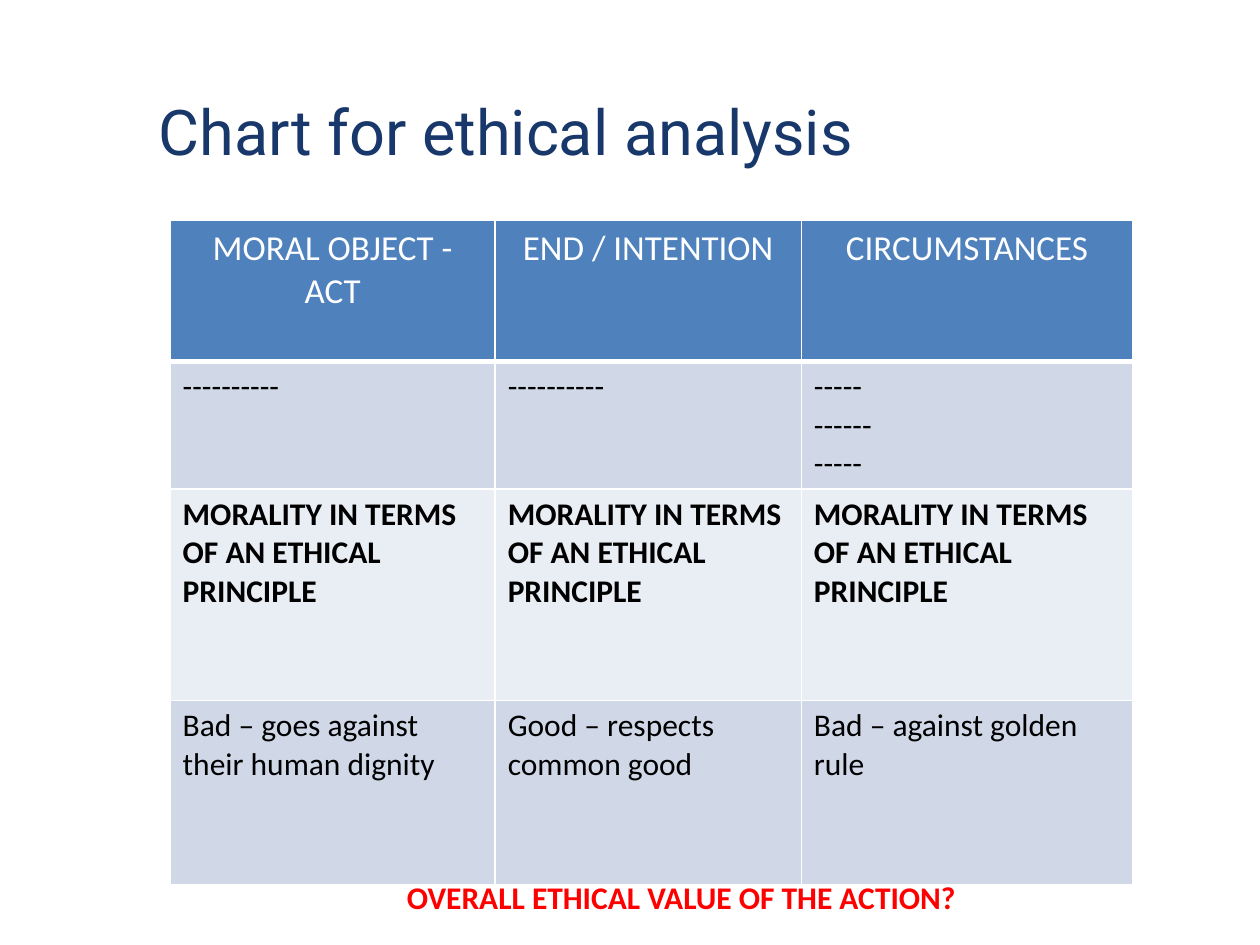
from lxml.etree import SubElement
from pptx import Presentation
from pptx.dml.color import RGBColor
from pptx.enum.text import MSO_ANCHOR as Anchor, PP_ALIGN as Align
from pptx.oxml.ns import qn
from pptx.util import Pt

TITLE = "Chart for ethical analysis"
QUESTION = "OVERALL ETHICAL VALUE OF THE ACTION?"
PRINCIPLE = "MORALITY IN TERMS OF AN ETHICAL PRINCIPLE"
COLUMN_WIDTHS = [185.76, 174.96, 189.36]
HEADER = dict(size=20, color="FFFFFF", align=Align.CENTER)
BODY = dict(size=18, color="000000")
# height, fill, bottom border, text format, cells
ROWS = [
    (80.64, "4F81BD", 3, HEADER,
     ["MORAL OBJECT - ACT", "END / INTENTION", "CIRCUMSTANCES"]),
    (72.72, "D0D8E8", 1, BODY,
     ["----------", "----------", "-----\n------\n-----"]),
    (120.96, "E9EDF4", 1, dict(BODY, bold=True), [PRINCIPLE] * 3),
    (105.12, "D0D8E8", 1, BODY,
     ["Bad – goes against their human dignity",
      "Good – respects common good",
      "Bad – against golden rule"]),
]


def rgb(value):
    return RGBColor.from_string(value)


def write(frame, text, size, color, font="Calibri", bold=False, align=Align.LEFT):
    for i, line in enumerate(text.split("\n")):
        paragraph = frame.add_paragraph() if i else frame.paragraphs[0]
        paragraph.alignment = align
        run = paragraph.add_run()
        run.text = line
        run.font.name = font
        run.font.size = Pt(size)
        run.font.bold = bold
        run.font.color.rgb = rgb(color)


def add_text(slide, box, text, wrap=True, anchor=Anchor.TOP, **text_format):
    frame = slide.shapes.add_textbox(*map(Pt, box)).text_frame
    frame.word_wrap = wrap
    frame.vertical_anchor = anchor
    write(frame, text, **text_format)


def format_cell(cell, fill, bottom):
    """Draw white borders, then fill the cell (borders come first in the XML)."""
    properties = cell._tc.get_or_add_tcPr()
    for side, width in (("L", 1), ("R", 1), ("T", 1), ("B", bottom)):
        line = SubElement(properties, qn(f"a:ln{side}"), w=str(Pt(width)))
        solid = SubElement(line, qn("a:solidFill"))
        SubElement(solid, qn("a:srgbClr"), val="FFFFFF")
    cell.fill.solid()
    cell.fill.fore_color.rgb = rgb(fill)


def add_analysis_table(slide, left, top):
    width, height = sum(COLUMN_WIDTHS), sum(row[0] for row in ROWS)
    table = slide.shapes.add_table(
        len(ROWS), len(COLUMN_WIDTHS), *map(Pt, (left, top, width, height))).table
    for column, column_width in zip(table.columns, COLUMN_WIDTHS):
        column.width = Pt(column_width)
    for row, (row_height, fill, bottom, text_format, texts) in zip(table.rows, ROWS):
        row.height = Pt(row_height)
        for cell, text in zip(row.cells, texts):
            format_cell(cell, fill, bottom)
            write(cell.text_frame, text, **text_format)


def main():
    deck = Presentation()
    deck.slide_width, deck.slide_height = Pt(720), Pt(540)
    slide = deck.slides.add_slide(deck.slide_layouts[6])
    add_text(slide, (83.5, 43.2, 424, 62), TITLE, anchor=Anchor.MIDDLE,
             size=36, color="18376A", font="Roboto")
    add_analysis_table(slide, 97.2, 126)
    add_text(slide, (225.4, 498.2, 331.2, 28.8), QUESTION, wrap=False,
             size=18, color="FF0000", bold=True)
    deck.save("out.pptx")


if __name__ == "__main__":
    main()
